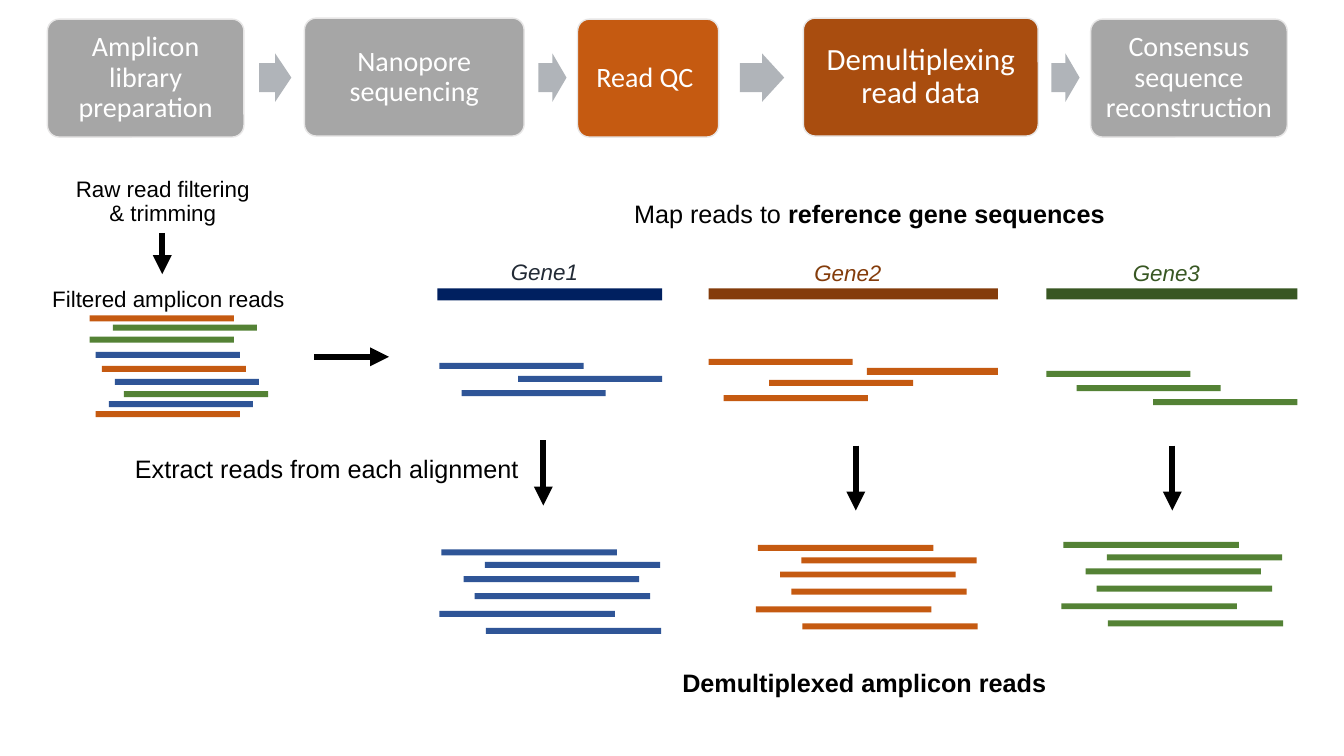
from dataclasses import dataclass
from typing import Any

from lxml.etree import SubElement
from pptx import Presentation
from pptx.dml.color import RGBColor
from pptx.enum.shapes import MSO_CONNECTOR as Connector, MSO_SHAPE as Preset
from pptx.enum.text import MSO_ANCHOR as Anchor, MSO_AUTO_SIZE as AutoSize, PP_ALIGN as Align
from pptx.oxml.ns import qn
from pptx.util import Inches, Pt

# The grid has ten columns and ten rows to the inch.
CELL = 0.1
BLACK, WHITE, GREY, ARROW_GREY, EDGE = "000000", "FFFFFF", "A6A6A6", "B0B4B9", "E7E6E6"
BLUE, ORANGE, GREEN, DARK_ORANGE = "2F5597", "C55A11", "548235", "A94D0F"
READ_HEIGHT, READ_WIDTH, EXTRACTED_WIDTH = 0.6, 14.3, 17.4
PILE_OFFSETS = [(0.2, 0), (4.5, 1.25), (2.4, 2.65), (3.5, 4.35), (0, 6.1), (4.6, 7.8)]


@dataclass(frozen=True)
class Area:
    column: float
    row: float
    columns: float
    rows: float


@dataclass(frozen=True)
class Step:
    text: str
    area: Area
    fill: str = GREY
    size: int = 20


@dataclass(frozen=True)
class Label:
    text: str
    area: Area
    size: int = 18
    spacing: float = 0.9
    color: str = BLACK
    bold: bool = False
    italic: bool = False
    align: Any = Align.LEFT
    anchor: Any = Anchor.TOP


@dataclass(frozen=True)
class Gene:
    name: str
    label_start: tuple[float, float]
    label_color: str
    reference: Area
    reference_color: str
    read_color: str
    mapped_reads: list[tuple[float, float]]
    arrow_start: tuple[float, float]
    pile_start: tuple[float, float]


STEPS = [
    Step("Amplicon library preparation", Area(4.7, 1.9, 19.5, 11.7)),
    Step("Nanopore sequencing", Area(30.2, 1.8, 21.8, 11.7)),
    Step("Read QC ", Area(57.3, 1.9, 14, 11.7), ORANGE),
    Step("Demultiplexing read data", Area(79.7, 1.8, 23.3, 11.7), DARK_ORANGE, 22),
    Step("Consensus sequence reconstruction", Area(108.2, 1.9, 19.5, 11.7)),
]
STEP_ARROWS = [(25.7, 3.2), (53.4, 2.8), (73.4, 4.4), (104.3, 2.8)]

TITLE_AREA = Area(61.9, 19.5, 49.4, 3.7)
LABELS = [
    Label("Raw read filtering & trimming", Area(5.7, 16.6, 20.9, 7), 16,
          align=Align.CENTER, anchor=Anchor.MIDDLE),
    Label("Filtered amplicon reads", Area(4.2, 28.3, 25.3, 3.3), 16, 0.8),
    Label("Extract reads from each alignment", Area(12.4, 44.8, 42.1, 7.5)),
    Label("Demultiplexed amplicon reads", Area(66.7, 66, 43.9, 7.5), bold=True),
]

GENES = [
    Gene("Gene1", (49.7, 25.6), "222A35", Area(43.4, 28.6, 22.3, 1.2), "002060", BLUE,
         [(43.6, 36), (51.4, 37.3), (45.8, 38.7)], (53.9, 43.7), (43.6, 54.5)),
    Gene("Gene2", (79.8, 25.7), "843C0B", Area(70.3, 28.6, 28.7, 1.1), "843C0B", ORANGE,
         [(70.3, 35.6), (76.3, 37.7), (71.8, 39.2)], (84.9, 44.2), (75, 54.05)),
    Gene("Gene3", (111.4, 25.7), "385723", Area(103.8, 28.6, 24.9, 1.1), "385723", GREEN,
         [(103.8, 36.8), (106.8, 38.2), (114.4, 39.6)], (116.3, 44.2), (105.3, 53.75)),
]
SHORT_READ = Area(86, 36.5, 13, 0.7)
FILTERED_READS = {
    BLUE: [(9.5, 34.9), (11.4, 37.6), (10.8, 39.8)],
    GREEN: [(12.3, 38.8), (11.2, 32.2), (8.9, 33.4)],
    ORANGE: [(10.1, 36.3), (8.9, 31.3), (9.5, 40.8)],
}


def grid(cells: float) -> int:
    return Inches(cells * CELL)


def place(area: Area) -> tuple[int, int, int, int]:
    return grid(area.column), grid(area.row), grid(area.columns), grid(area.rows)


def rgb(color: str) -> RGBColor:
    return RGBColor.from_string(color)


def apply(target: Any, values: dict[str, Any]) -> None:
    for name, value in values.items():
        setattr(target, name, value)


def add_span(para: Any, text: str, color: str, **values: Any) -> None:
    span = para.add_run()
    span.text = text
    apply(span.font, values)
    span.font.color.rgb = rgb(color)


def add_preset(page: Any, preset: Any, area: Area, fill: str) -> Any:
    """Draw a filled shape with no outline and no shadow."""
    shape = page.shapes.add_shape(preset, *place(area))
    shape.shadow.inherit = False
    shape.fill.solid()
    shape.fill.fore_color.rgb = rgb(fill)
    shape.line.fill.background()
    return shape


def add_step(page: Any, step: Step) -> None:
    box = add_preset(page, Preset.ROUNDED_RECTANGLE, step.area, step.fill)
    box.adjustments[0] = 0.1
    box.line.color.rgb = rgb(EDGE)
    box.line.width = Pt(1)
    sides = ("margin_left", "margin_right", "margin_top", "margin_bottom")
    apply(box.text_frame, dict.fromkeys(sides, grid(0.8)))
    apply(box.text_frame, {"word_wrap": True, "vertical_anchor": Anchor.MIDDLE})
    para = box.text_frame.paragraphs[0]
    apply(para, {"alignment": Align.CENTER, "line_spacing": 0.9})
    add_span(para, step.text, WHITE, name="Calibri", size=Pt(step.size))


def add_label(page: Any, label: Label) -> None:
    box = page.shapes.add_textbox(*place(label.area))
    apply(box.text_frame, {"word_wrap": True, "vertical_anchor": label.anchor})
    para = box.text_frame.paragraphs[0]
    apply(para, {"alignment": label.align, "line_spacing": label.spacing})
    add_span(para, label.text, label.color, name="Arial", size=Pt(label.size),
             bold=label.bold, italic=label.italic)


def add_title(page: Any) -> None:
    title = page.shapes.title
    apply(title, dict(zip(("left", "top", "width", "height"), place(TITLE_AREA))))
    apply(title.text_frame, {"word_wrap": True, "vertical_anchor": Anchor.TOP,
                             "auto_size": AutoSize.NONE})
    para = title.text_frame.paragraphs[0]
    apply(para, {"alignment": Align.LEFT, "line_spacing": 0.9})
    for text, bold in (("Map reads to ", False), ("reference gene sequences", True)):
        add_span(para, text, BLACK, name="Arial", size=Pt(18), bold=bold)


def add_arrow(page: Any, start: tuple[float, float], across: float, down: float) -> None:
    column, row = start
    arrow = page.shapes.add_connector(Connector.STRAIGHT, grid(column), grid(row),
                                      grid(column + across), grid(row + down))
    arrow.line.color.rgb = rgb(BLACK)
    arrow.line.width = Pt(4.5)
    properties = arrow._element.spPr
    SubElement(properties.find(qn("a:ln")), qn("a:tailEnd"), type="triangle")
    SubElement(properties, qn("a:effectLst"))


def add_reads(page: Any, starts: list[tuple[float, float]], width: float, color: str) -> None:
    for column, row in starts:
        add_preset(page, Preset.RECTANGLE, Area(column, row, width, READ_HEIGHT), color)


def add_gene(page: Any, gene: Gene) -> None:
    """Draw one gene's lane, from its reference down to the extracted reads."""
    add_label(page, Label(gene.name, Area(*gene.label_start, 9.8, 3.3), 16, 0.8,
                          gene.label_color, italic=True))
    add_preset(page, Preset.RECTANGLE, gene.reference, gene.reference_color)
    add_reads(page, gene.mapped_reads, READ_WIDTH, gene.read_color)
    add_arrow(page, gene.arrow_start, 0, 6.45)
    left, top = gene.pile_start
    pile = [(left + across, top + down) for across, down in PILE_OFFSETS]
    add_reads(page, pile, EXTRACTED_WIDTH, gene.read_color)


def main() -> None:
    deck = Presentation()
    apply(deck, {"slide_width": grid(133.33), "slide_height": grid(75)})
    page = deck.slides.add_slide(deck.slide_layouts[5])
    add_title(page)
    for step in STEPS:
        add_step(page, step)
    for column, width in STEP_ARROWS:
        arrow = add_preset(page, Preset.RIGHT_ARROW, Area(column, 5.3, width, 4.8), ARROW_GREY)
        arrow.adjustments[0] = 0.6
    for label in LABELS:
        add_label(page, label)
    add_arrow(page, (16.1, 23.1), 0, 4.1)
    add_arrow(page, (31.2, 35.4), 7.4, 0)
    for color, starts in FILTERED_READS.items():
        add_reads(page, starts, READ_WIDTH, color)
    for gene in GENES:
        add_gene(page, gene)
    add_preset(page, Preset.RECTANGLE, SHORT_READ, ORANGE)
    deck.save("out.pptx")


if __name__ == "__main__":
    main()
